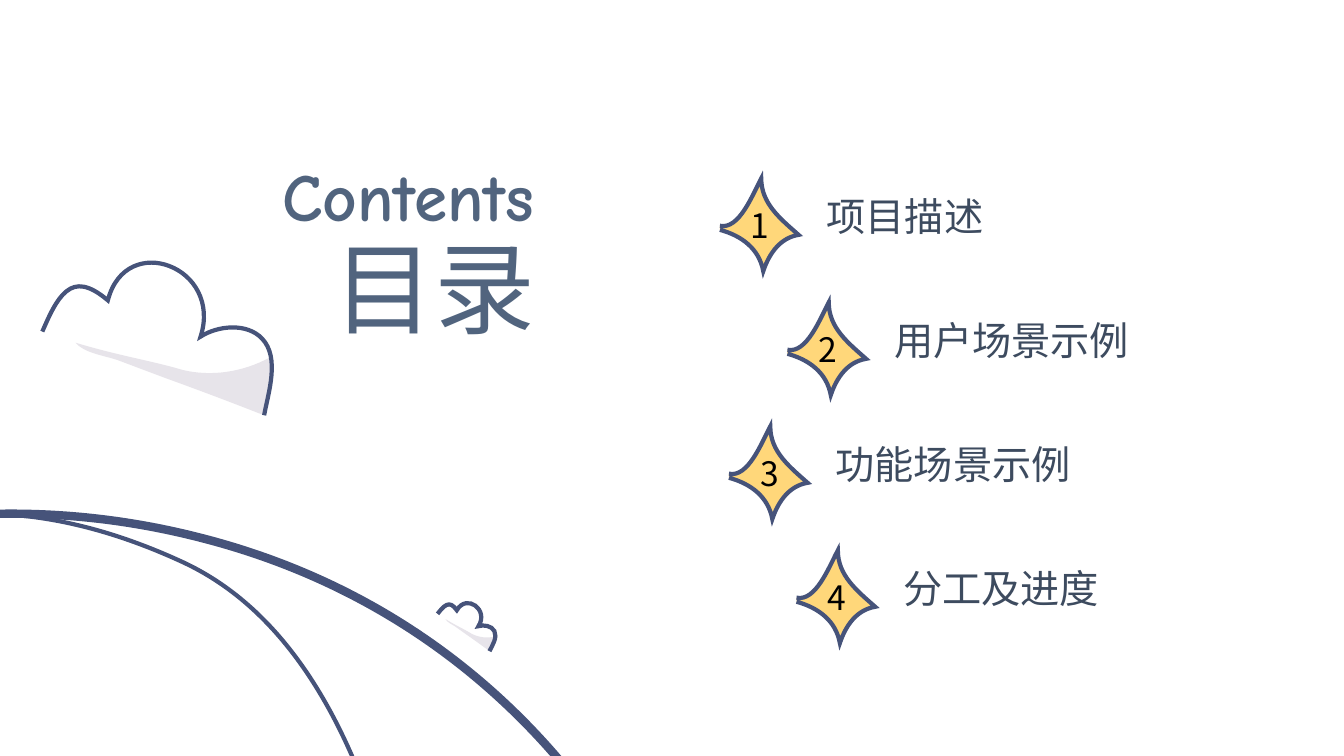
from dataclasses import dataclass
from math import cos, radians, sin

from lxml import etree
from pptx import Presentation
from pptx.dml.color import RGBColor
from pptx.enum.text import MSO_AUTO_SIZE, PP_ALIGN
from pptx.oxml.ns import qn
from pptx.util import Inches, Pt

LEFT, RIGHT = PP_ALIGN.LEFT, PP_ALIGN.RIGHT
GROW = MSO_AUTO_SIZE.SHAPE_TO_FIT_TEXT


@dataclass(frozen=True)
class Theme:
    """Colours, fonts and sizes of the slide."""
    ink: str = "46537A"
    gold: str = "FFD77A"
    mist: str = "E7E4EA"
    title: tuple = (72, "Noto Sans CJK JP", "51647E", False)
    sub: tuple = (48, "Comic Neue", "51647E", True)
    item: tuple = (28, "Noto Sans CJK SC", "3D4B5F", False)
    digit: tuple = (24, "Noto Sans CJK JP", "000000", False)
    thin: float = 3
    thick: float = 6


THEME = Theme()

STAR = [(0, .47), (.19, .51), (.32, .17), (.41, 0), (.41, .25), (.6, .4),
        (.78, .56), (.6, .59), (.49, .74), (.43, .92), (.39, .7),
        (.22, .57), (0, .51)]
PUFF = [(0, 0), (.07, -.16), (.14, -.32), (.24, -.4), (.34, -.48),
        (.46, -.47), (.65, -.31), (.74, -.66), (1.03, -.74), (1.26, -.65),
        (1.5, -.56), (1.68, -.29), (1.57, .05), (1.74, -.06), (2.03, -.09),
        (2.18, .07), (2.36, .26), (2.24, .61), (2.2, .83)]
SHADE = [(.33, .11), (.76, .24), (1.09, .29), (1.39, .38), (1.68, .45),
         (1.99, .4), (2.25, .26), (2.31, .38), (2.2, .83), (2.2, .83),
         (1.87, .7), (1.55, .58), (1.22, .46), (1.06, .4), (.9, .34),
         (.74, .28), (.62, .24), (.41, .21), (.33, .11)]
OUTER = [(6.49, 12.35), (8.7, 8.1), (7.28, 1.58), (1.97, .24),
         (-3.61, -1.18), (-9.01, 4.11), (-8.29, 9.47), (-7.35, 16.31),
         (1.33, 19), (5.68, 13.59), (5.99, 13.2), (6.26, 12.79),
         (6.49, 12.35)]
INNER = [(.57, 16.14), (4.38, 14.9), (4.71, 8.7), (4.24, 5.38),
         (4.01, 3.74), (3.51, 1.28), (1.82, .49), (-3.5, -1.98),
         (-5.71, 5.62), (-5.37, 9.24), (-5.12, 11.98), (-2.92, 17.27),
         (.57, 16.14)]


def trace(knots, steps=40):
    """Return points along a chain of cubic curves."""
    spots = [knots[0]]
    for i in range(0, len(knots) - 1, 3):
        quad = knots[i:i + 4]
        for n in range(1, steps + 1):
            t = n / steps
            u = 1 - t
            mix = (u ** 3, 3 * u * u * t, 3 * u * t * t, t ** 3)
            spots.append(tuple(sum(m * p[k] for m, p in zip(mix, quad))
                               for k in (0, 1)))
    return spots


def bend(shape, knots, left, top, close):
    """Write cubic curves as the outline of a freeform."""
    route = next(shape._element.iter(qn("a:path")))
    for child in list(route):
        route.remove(child)
    parts = [("a:moveTo", knots[:1])]
    parts += [("a:cubicBezTo", knots[i:i + 3])
              for i in range(1, len(knots), 3)]
    for tag, spots in parts:
        part = etree.SubElement(route, qn(tag))
        for x, y in spots:
            spot = etree.SubElement(part, qn("a:pt"))
            spot.set("x", str(int(x - left)))
            spot.set("y", str(int(y - top)))
    if close:
        etree.SubElement(route, qn("a:close"))


def curve(shapes, x, y, knots, fill=None, line=None, close=False,
          scale=1, turn=0):
    """Draw a smooth outline from an origin, scaled and turned."""
    c, s = scale * cos(radians(turn)), scale * sin(radians(turn))
    knots = [(Inches(x + c * px - s * py), Inches(y + s * px + c * py))
             for px, py in knots]
    xs, ys = zip(*trace(knots))
    left, top, right, base = map(int, (min(xs), min(ys), max(xs), max(ys)))
    pen = shapes.build_freeform(left, top)
    pen.add_line_segments([(right, top), (right, base)], close=False)
    shape = pen.convert_to_shape()
    bend(shape, knots, left, top, close)
    shape.shadow.inherit = False
    if fill:
        shape.fill.solid()
        shape.fill.fore_color.rgb = RGBColor.from_string(fill)
    else:
        shape.fill.background()
    if line:
        shape.line.color.rgb = RGBColor.from_string(THEME.ink)
        shape.line.width = Pt(line)
        edge = shape.line._get_or_add_ln()
        etree.SubElement(edge, qn("a:miter")).set("lim", "800000")
    else:
        shape.line.fill.background()


def label(shapes, x, y, w, h, text, style, align=LEFT):
    """Place one line of text in a box."""
    frame = shapes.add_textbox(*map(Inches, (x, y, w, h))).text_frame
    for key, value in {"word_wrap": False, "auto_size": GROW}.items():
        setattr(frame, key, value)
    para = frame.paragraphs[0]
    para.alignment = align
    run = para.add_run()
    run.text = text
    size, face, tint, bold = style
    for key, value in {"size": Pt(size), "name": face, "bold": bold}.items():
        setattr(run.font, key, value)
    run.font.color.rgb = RGBColor.from_string(tint)
    east = etree.SubElement(run._r.get_or_add_rPr(), qn("a:ea"))
    east.set("typeface", face)


def heading(slide, x, y):
    """Place the two-line heading."""
    label(slide.shapes, x + .47, y + .71, 2.27, 1.31, "目录",
          THEME.title, RIGHT)
    label(slide.shapes, x, y, 2.73, .91, "Contents", THEME.sub, RIGHT)


def hill(slide, x, y):
    """Draw the hill and its path."""
    shapes = slide.shapes.add_group_shape().shapes
    for knots, line in ((OUTER, THEME.thick), (INNER, THEME.thin)):
        curve(shapes, x, y, knots, line=line, close=True)


def cloud(slide, x, y, scale=1, turn=0):
    """Draw a cloud that starts at a point."""
    shapes = slide.shapes.add_group_shape().shapes
    curve(shapes, x, y, SHADE, fill=THEME.mist, close=True,
          scale=scale, turn=turn)
    curve(shapes, x, y, PUFF, line=THEME.thin, scale=scale, turn=turn)


def entry(slide, x, y, num, text, width):
    """Place a numbered star and its label."""
    label(slide.shapes, x + .96, y + .09, width, .57, text, THEME.item)
    shapes = slide.shapes.add_group_shape().shapes
    curve(shapes, x, y, STAR, fill=THEME.gold, line=THEME.thin)
    label(shapes, x + .21, y + .21, .36, .5, str(num), THEME.digit)


def agenda(slide, x, y, step=1.23):
    """Place the staggered list of entries."""
    items = [("项目描述", 1.77), ("用户场景示例", 2.61),
             ("功能场景示例", 2.56), ("分工及进度", 2.17)]
    for i, (text, width) in enumerate(items):
        shift = .67 * (i % 2) + .09 * (i // 2)
        entry(slide, x + shift, y + i * step, i + 1, text, width)


def main():
    """Build the contents slide."""
    deck = Presentation()
    deck.slide_width, deck.slide_height = Inches(13.33), Inches(7.5)
    slide = deck.slides.add_slide(deck.slide_layouts[6])
    heading(slide, 2.67, 1.48)
    hill(slide, 0, 5.09)
    cloud(slide, .42, 3.29)
    cloud(slide, 4.34, 6.09, scale=.27, turn=15)
    agenda(slide, 7.14, 1.77)
    deck.save("out.pptx")


if __name__ == "__main__":
    main()
